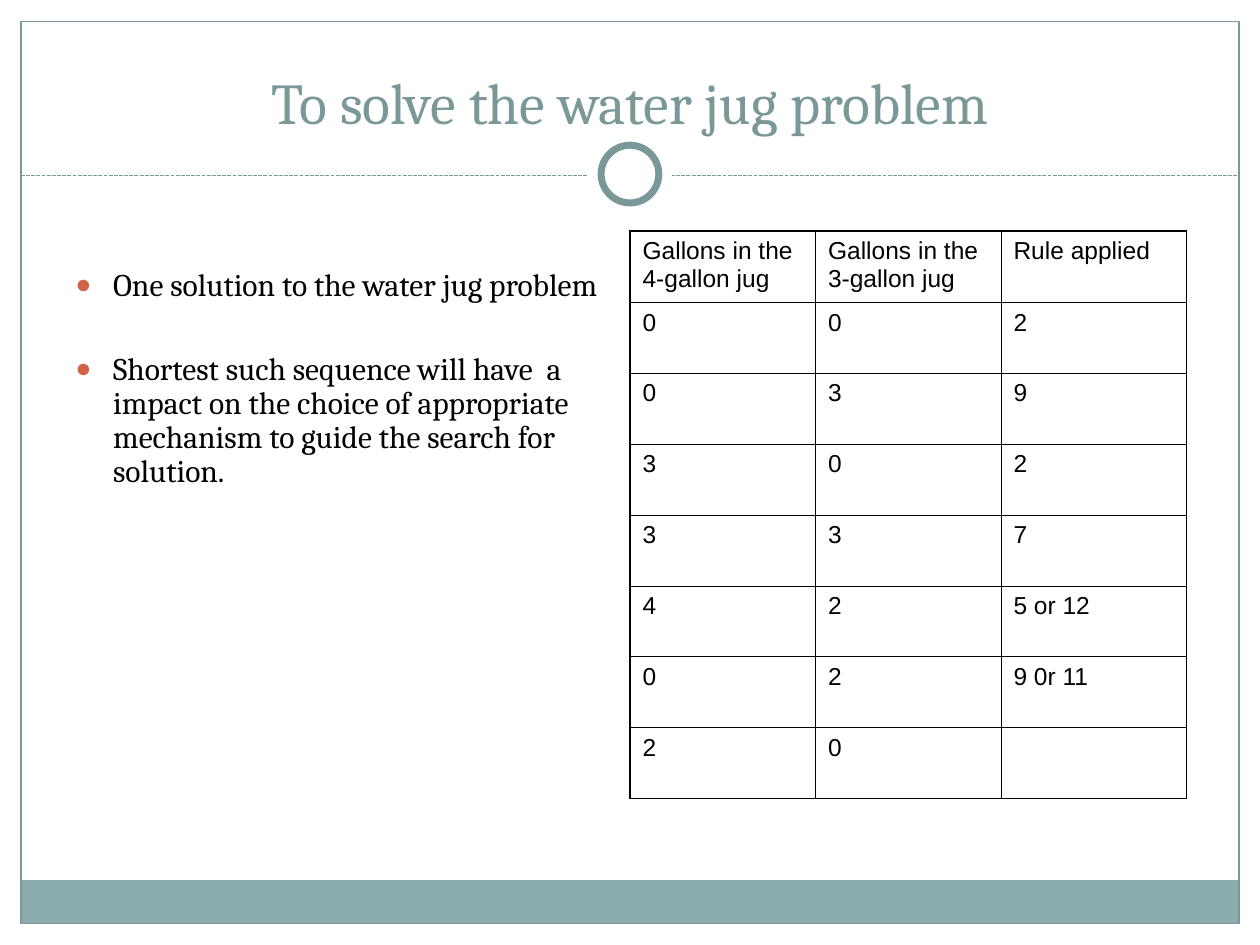
"""Builds the water jug solution slide."""
import pptx
import pptx.dml.color
import pptx.enum.dml
import pptx.enum.shapes
import pptx.enum.text
import pptx.oxml
import pptx.oxml.ns
import pptx.util
from lxml import etree

Pt = pptx.util.Pt
RGBColor = pptx.dml.color.RGBColor
MSO_SHAPE = pptx.enum.shapes.MSO_SHAPE

WHITE = RGBColor(0xFF, 0xFF, 0xFF)
BLACK = RGBColor(0x00, 0x00, 0x00)
SLATE = RGBColor(0x7B, 0x98, 0x99)
SAGE = RGBColor(0x8C, 0xAD, 0xAE)
RUST = RGBColor(0xD1, 0x63, 0x49)

SOLUTION = [
    ["Gallons in the 4-gallon jug", "Gallons in the 3-gallon jug", "Rule applied"],
    ["0", "0", "2"],
    ["0", "3", "9"],
    ["3", "0", "2"],
    ["3", "3", "7"],
    ["4", "2", "5 or 12"],
    ["0", "2", "9 0r 11"],
    ["2", "0", ""],
]
POINTS = [
    "One solution to the water jug problem",
    "Shortest such sequence will have  a impact on the choice of appropriate "
    "mechanism to guide the search for solution.",
]


def write(paragraph, text, *, size, font="Cambria", color=BLACK, align="LEFT", before=0, spacing=1.0):
    """Add a formatted run to a paragraph."""
    paragraph.alignment = getattr(pptx.enum.text.PP_ALIGN, align)
    paragraph.space_before = Pt(before)
    paragraph.line_spacing = spacing
    run = paragraph.add_run()
    run.text = text
    run.font.size = Pt(size)
    run.font.name = font
    run.font.color.rgb = color


class JugSlide:
    """Holds the style and the current slide."""

    thin, thick = 0.45, 1.08

    def __init__(self, deck):
        self.slide = deck.slides.add_slide(deck.slide_layouts[5])
        self.shapes = self.slide.shapes

    def panel(self, box, kind=MSO_SHAPE.RECTANGLE, fill=None, line=None, weight=0.75):
        panel = self.shapes.add_shape(kind, *map(Pt, box))
        panel.shadow.inherit = False
        if fill is None:
            panel.fill.background()
        else:
            panel.fill.solid()
            panel.fill.fore_color.rgb = fill
        if line is None:
            panel.line.fill.background()
        else:
            panel.line.color.rgb = line
            panel.line.width = Pt(weight)

    def divider(self, left, right, y):
        divider = self.shapes.add_connector(
            pptx.enum.shapes.MSO_CONNECTOR.STRAIGHT, Pt(left), Pt(y), Pt(right), Pt(y))
        divider.line.color.rgb = SLATE
        divider.line.width = Pt(0.75)
        divider.line.dash_style = pptx.enum.dml.MSO_LINE.SQUARE_DOT
        etree.SubElement(divider.element.spPr, pptx.oxml.ns.qn("a:effectLst"))

    def title(self, text, box):
        heading = self.shapes.title
        heading.element.getparent().append(heading.element)
        heading.left, heading.top, heading.width, heading.height = map(Pt, box)
        frame = heading.text_frame
        frame.auto_size = pptx.enum.text.MSO_AUTO_SIZE.NONE
        frame.vertical_anchor = pptx.enum.text.MSO_ANCHOR.BOTTOM
        write(frame.paragraphs[0], text, size=33, color=SLATE, align="CENTER")

    def bullets(self, points, box):
        frame = self.shapes.add_textbox(*map(Pt, box)).text_frame
        frame.word_wrap = True
        frame.margin_top = Pt(28)
        for index, point in enumerate(points):
            paragraph = frame.add_paragraph() if index else frame.paragraphs[0]
            write(paragraph, point, size=18, before=28.5 if index else 0, spacing=0.9)
            properties = paragraph._p.get_or_add_pPr()
            properties.set("marL", str(Pt(21.6)))
            properties.set("indent", str(-Pt(21.6)))
            namespace = pptx.oxml.ns.nsdecls("a")
            for bullet in (
                f'<a:buClr {namespace}><a:srgbClr val="{RUST}"/></a:buClr>',
                f'<a:buSzPct {namespace} val="85000"/>',
                f'<a:buFont {namespace} typeface="Arial"/>',
                f'<a:buChar {namespace} char="●"/>',
            ):
                properties.append(pptx.oxml.parse_xml(bullet))

    def border(self, cell, outer_sides):
        for side in "LRTB":
            weight = self.thick if side in outer_sides else self.thin
            cell._tc.get_or_add_tcPr().append(pptx.oxml.parse_xml(
                f'<a:ln{side} {pptx.oxml.ns.nsdecls("a")} w="{Pt(weight)}">'
                f'<a:solidFill><a:srgbClr val="{BLACK}"/></a:solidFill></a:ln{side}>'))

    def table(self, rows, box):
        last_row, last_column = len(rows) - 1, len(rows[0]) - 1
        grid = self.shapes.add_table(len(rows), len(rows[0]), *map(Pt, box)).table
        grid.first_row = grid.horz_banding = False
        for r, row in enumerate(rows):
            for c, text in enumerate(row):
                cell = grid.cell(r, c)
                edges = {"L": c == 0, "R": c == last_column, "T": r == 0, "B": r == last_row}
                self.border(cell, [side for side, outer in edges.items() if outer])
                cell.fill.background()
                if text:
                    write(cell.text_frame.paragraphs[0], text, size=14, font="Arial", before=3.5)


def main():
    """Compose and save the slide."""
    deck = pptx.Presentation()
    deck.slide_width, deck.slide_height = Pt(720), Pt(540)
    page = JugSlide(deck)
    for margin in ((0, 0, 720, 109.5), (0, 0, 12, 540), (708, 0, 12, 540)):
        page.panel(margin, fill=WHITE)
    page.panel((11.75, 503, 696, 24.5), fill=SAGE)
    page.panel((12, 12.25, 696, 515.5), line=SLATE)
    page.divider(12, 708, 100.5)
    page.panel((336, 75.5, 48, 48), MSO_SHAPE.OVAL, fill=WHITE)
    page.panel((343.5, 83, 33, 33), MSO_SHAPE.OVAL, fill=WHITE, line=SLATE, weight=4)
    page.title("To solve the water jug problem", (36, 24, 648, 57.5))
    page.bullets(POINTS, (36, 126, 318, 360))
    page.table(SOLUTION, (360, 132, 318, 324))
    deck.save("out.pptx")


if __name__ == "__main__":
    main()
